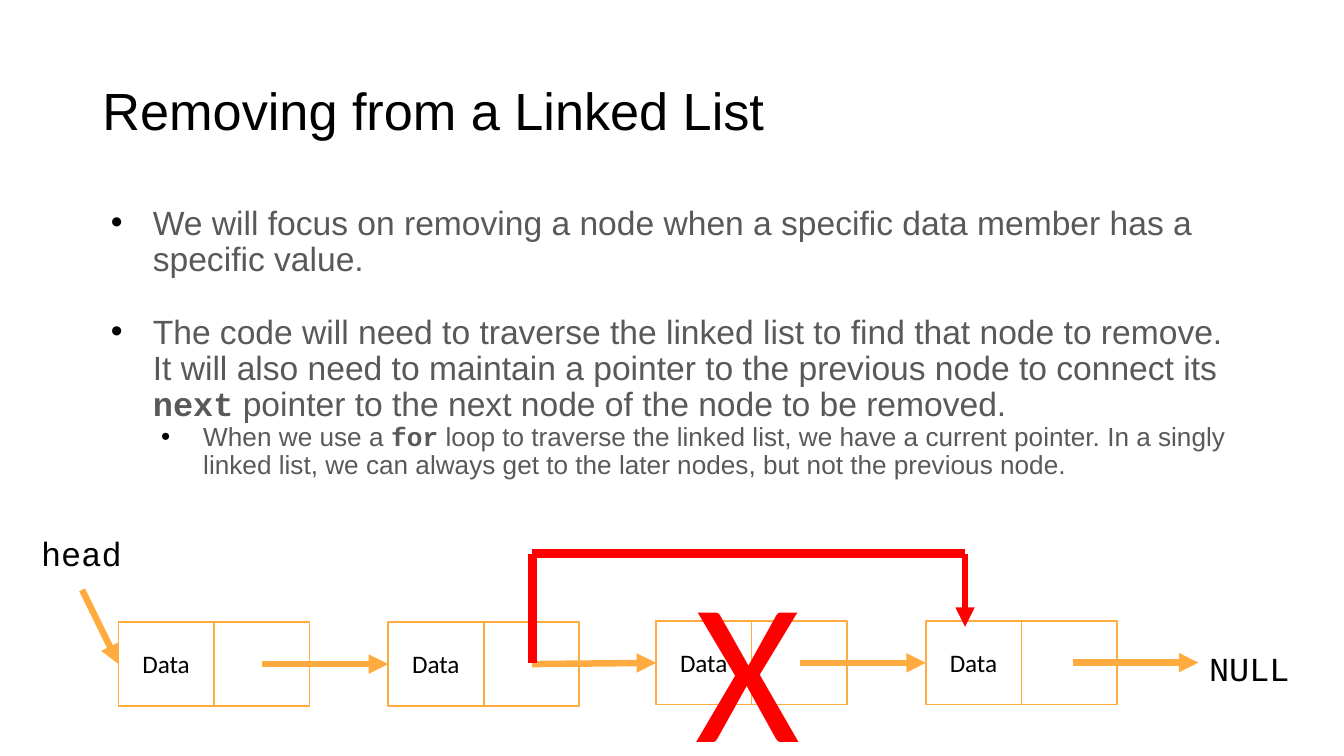
import pptx
import pptx.dml.color
import pptx.enum.shapes
import pptx.enum.text
import pptx.oxml
import pptx.oxml.ns
import pptx.util

Pt = pptx.util.Pt
BLACK = pptx.dml.color.RGBColor(0x00, 0x00, 0x00)
WHITE = pptx.dml.color.RGBColor(0xFF, 0xFF, 0xFF)
GRAY = pptx.dml.color.RGBColor(0x59, 0x59, 0x59)
ORANGE = pptx.dml.color.RGBColor(0xFF, 0xAB, 0x40)
RED = pptx.dml.color.RGBColor(0xFF, 0x00, 0x00)


def add_run(paragraph, text, size=18, font="Arial", color=BLACK, bold=False):
    run = paragraph.add_run()
    run.text = text
    run.font.size = Pt(size)
    run.font.name = font
    run.font.color.rgb = color
    run.font.bold = bold


def add_line(start, end, color=ORANGE, width=3.5, arrow=True):
    line = slide.shapes.add_connector(
        pptx.enum.shapes.MSO_CONNECTOR.STRAIGHT, *[Pt(value) for value in start + end])
    line.line.color.rgb = color
    line.line.width = Pt(width)
    if arrow:
        pptx.oxml.ns.qn("a:tailEnd")
        outline = line.line._get_or_add_ln()
        outline.append(pptx.oxml.parse_xml(
            f'<a:tailEnd {pptx.oxml.ns.nsdecls("a")} type="triangle"/>'))
    line._element.spPr.append(pptx.oxml.parse_xml(
        f'<a:effectLst {pptx.oxml.ns.nsdecls("a")}/>'))
    return line


presentation = pptx.Presentation()
presentation.slide_width = Pt(720)
presentation.slide_height = Pt(405)
slide = presentation.slides.add_slide(presentation.slide_layouts[5])

title = slide.shapes.title
title.left, title.top, title.width, title.height = Pt(49.5), Pt(21.6), Pt(621), Pt(78.3)
title.text_frame.vertical_anchor = pptx.enum.text.MSO_ANCHOR.MIDDLE
paragraph = title.text_frame.paragraphs[0]
paragraph.alignment = pptx.enum.text.PP_ALIGN.LEFT
paragraph.line_spacing = 0.9
add_run(paragraph, "Removing from a Linked List", size=28)

body = slide.shapes.add_textbox(Pt(49.5), Pt(107.8), Pt(621), Pt(257))
body.text_frame.word_wrap = True
bullets = [
    (0, 0, 18, ["We will focus on removing a node when a specific data member has a specific value."]),
    (0, 19.4, 18, [
        "The code will need to traverse the linked list to find that node to remove. "
        "It will also need to maintain a pointer to the previous node to connect its ",
        "next", " pointer to the next node of the node to be removed."]),
    (1, 0, 14, [
        "When we use a ", "for",
        " loop to traverse the linked list, we have a current pointer. In a singly linked list, "
        "we can always get to the later nodes, but not the previous node."]),
]
for index, (level, space, size, parts) in enumerate(bullets):
    paragraph = body.text_frame.paragraphs[0] if index == 0 else body.text_frame.add_paragraph()
    paragraph.level = level
    properties = paragraph._p.get_or_add_pPr()
    properties.set("marL", str(Pt(27 * (level + 1))))
    properties.set("indent", str(-Pt(22.5)))
    for xml in ('<a:buClr {}><a:srgbClr val="000000"/></a:buClr>',
                '<a:buFont {} typeface="Arial"/>', '<a:buChar {} char="•"/>'):
        properties.append(pptx.oxml.parse_xml(xml.format(pptx.oxml.ns.nsdecls("a"))))
    paragraph.line_spacing = 0.9
    paragraph.space_before = Pt(space)
    for position, part in enumerate(parts):
        is_code = position == 1
        add_run(paragraph, part, size=size, color=GRAY, bold=is_code,
                font="Courier New" if is_code else "Arial")

node_width, node_height = 102.4, 44.8
node_places = [(63.5, 333.4), (208, 333.4), (351.5, 332.7), (496, 332.7)]
nodes = []
labels = []
for left, top in node_places:
    node = slide.shapes.add_shape(
        pptx.enum.shapes.MSO_SHAPE.RECTANGLE, Pt(left), Pt(top), Pt(node_width), Pt(node_height))
    node.shadow.inherit = False
    node.fill.solid()
    node.fill.fore_color.rgb = WHITE
    node.line.color.rgb = ORANGE
    node.line.width = Pt(1)
    nodes.append(node)
    middle = left + node_width / 2
    divider = add_line((middle, top), (middle, top + node_height), width=0.75, arrow=False)
    divider.begin_connect(node, 0)
    divider.end_connect(node, 2)
    labels.append(("Data", left + 7.4, top + 11.4, 36.7, 21.6, 13.5, "Calibri", BLACK))

arrow_starts = [(44, 316)] + [(left + 77, top + node_height / 2) for left, top in node_places[:3]]
for start, node, (left, top) in zip(arrow_starts, nodes, node_places):
    arrow = add_line(start, (left, top + node_height / 2))
    arrow.end_connect(node, 1)
add_line((574.8, 355), (642, 355))

labels += [
    ("NULL", 642.3, 344.2, 54.7, 27.4, 18, "Courier New", BLACK),
    ("head", 16.6, 283, 54.7, 27.4, 18, "Courier New", BLACK),
    ("X", 367.2, 287.3, 67.7, 113, 108, "Calibri", RED),
]
for text, left, top, width, height, size, font, color in labels:
    label = slide.shapes.add_textbox(Pt(left), Pt(top), Pt(width), Pt(height))
    label.text_frame.word_wrap = False
    add_run(label.text_frame.paragraphs[0], text, size=size, font=font, color=color)

add_line((285.2, 355), (285.2, 296.6), color=RED, width=5, arrow=False)
add_line((517, 296.6), (285.2, 296.6), color=RED, width=5, arrow=False)
add_line((517, 296.6), (517, 335.8), color=RED)

for shape in slide.shapes:
    if shape.has_text_frame:
        frame = shape.text_frame
        frame.margin_left = frame.margin_right = Pt(5.4)
        frame.margin_top = frame.margin_bottom = Pt(2.7)

presentation.save("out.pptx")
